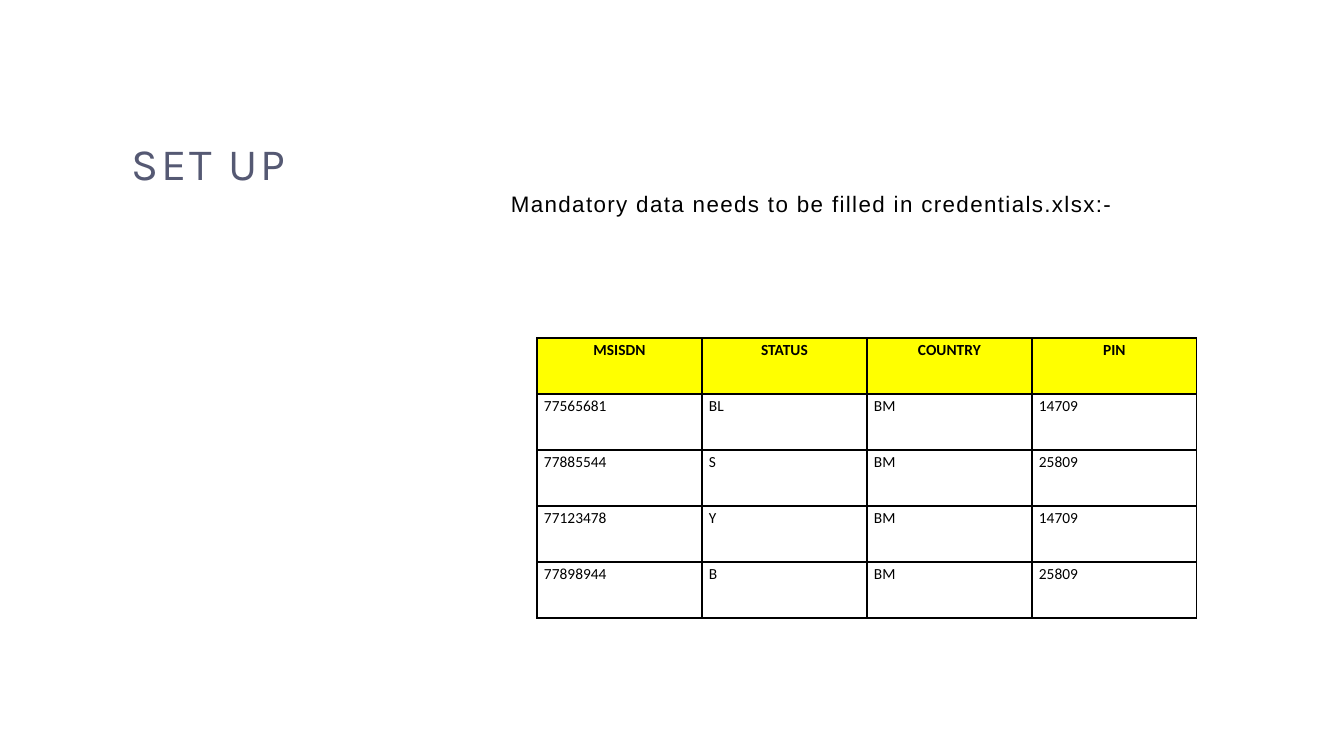
import pptx
import pptx.dml.color
import pptx.enum.text
import pptx.oxml
import pptx.oxml.ns
import pptx.util

EMU_PER_PX = 914400 / 100.8
BLACK, YELLOW, SLATE = "000000", "FFFF00", "555973"
ALIGN = pptx.enum.text.PP_ALIGN
ANCHOR = pptx.enum.text.MSO_ANCHOR

CREDENTIALS = [
    ("MSISDN", "STATUS", "COUNTRY", "PIN"),
    ("77565681", "BL", "BM", "14709"),
    ("77885544", "S", "BM", "25809"),
    ("77123478", "Y", "BM", "14709"),
    ("77898944", "B", "BM", "25809"),
]


def px(length):
    return pptx.util.Emu(round(length * EMU_PER_PX))


def color(value):
    return pptx.dml.color.RGBColor.from_string(value)


def write(paragraph, text, font, size, ink, line_spacing, tracking=0, bold=False):
    paragraph.line_spacing = line_spacing
    run = paragraph.add_run()
    run.text = text
    run.font.name = font
    run.font.size = pptx.util.Pt(size)
    run.font.bold = bold
    run.font.color.rgb = color(ink)
    if tracking:
        run.font._element.set("spc", str(tracking * 100))


def add_text_frame(slide, box, anchor, top_inset=5):
    text_frame = slide.shapes.add_textbox(*map(px, box)).text_frame
    text_frame.word_wrap = True
    text_frame.vertical_anchor = anchor
    text_frame.margin_top = px(top_inset)
    return text_frame


def add_title(slide, box):
    text_frame = add_text_frame(slide, box, ANCHOR.MIDDLE)
    write(text_frame.paragraphs[0], "SET UP", "Karla", 32, SLATE, 0.9, tracking=2)


def add_instruction(slide, box):
    text_frame = add_text_frame(slide, box, ANCHOR.TOP, top_inset=106)
    write(text_frame.paragraphs[0],
          "Mandatory data needs to be filled in credentials.xlsx:-",
          "Arial", 16, BLACK, 1.25, tracking=1)


def add_borders(cell):
    # Border lines come before the fill in the cell properties
    properties = cell._tc.get_or_add_tcPr()
    for position, side in enumerate(("lnL", "lnR", "lnT", "lnB")):
        properties.insert(position, pptx.oxml.parse_xml(
            f'<a:{side} {pptx.oxml.ns.nsdecls("a")} w="12700"><a:solidFill>'
            f'<a:srgbClr val="{BLACK}"/></a:solidFill></a:{side}>'))


def add_credentials_table(slide, box):
    left, top, width, height = box
    row_count, column_count = len(CREDENTIALS), len(CREDENTIALS[0])
    table = slide.shapes.add_table(row_count, column_count, *map(px, box)).table
    table.horz_banding = False
    for column in table.columns:
        column.width = px(width / column_count)
    for row in table.rows:
        row.height = px(height / row_count)

    for row_index, values in enumerate(CREDENTIALS):
        is_header = row_index == 0
        for column_index, value in enumerate(values):
            cell = table.cell(row_index, column_index)
            cell.margin_left = cell.margin_right = px(7)
            cell.margin_top = cell.margin_bottom = 0
            if is_header:
                cell.fill.solid()
                cell.fill.fore_color.rgb = color(YELLOW)
            else:
                cell.fill.background()
            add_borders(cell)
            paragraph = cell.text_frame.paragraphs[0]
            paragraph.alignment = ALIGN.CENTER if is_header else ALIGN.LEFT
            write(paragraph, value, "Calibri", 11, BLACK, 1.15, bold=is_header)


def main():
    presentation = pptx.Presentation()
    presentation.slide_width, presentation.slide_height = px(1344), px(756)
    slide = presentation.slides.add_slide(presentation.slide_layouts[6])
    add_title(slide, (122, 109, 319, 114))
    add_instruction(slide, (501, 77, 722, 642))
    add_credentials_table(slide, (537, 338, 660, 280))
    presentation.save("out.pptx")


if __name__ == "__main__":
    main()
